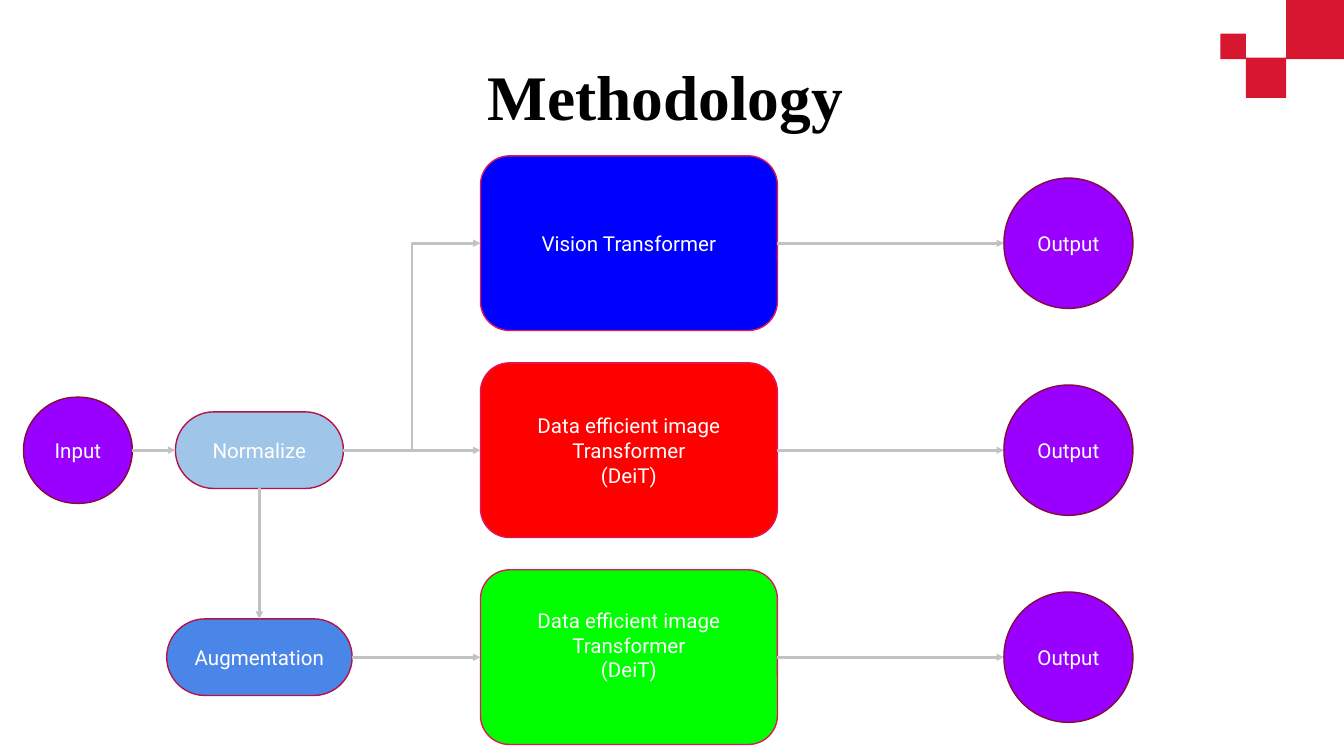
from dataclasses import dataclass

from lxml.etree import SubElement
from pptx import Presentation
from pptx.dml.color import RGBColor
from pptx.enum.shapes import MSO_CONNECTOR, MSO_SHAPE
from pptx.enum.text import MSO_ANCHOR, PP_ALIGN
from pptx.oxml.ns import qn
from pptx.shapes.autoshape import Shape
from pptx.slide import Slide
from pptx.text.text import TextFrame
from pptx.util import Inches, Pt


@dataclass(frozen=True)
class Theme:
    title_font: str = "Times New Roman"
    body_font: str = "Roboto"
    title_size: float = 34
    body_size: float = 11
    outline_width: float = 0.75
    arrow_width: float = 1.5
    title: str = "000000"
    label: str = "FFFFFF"
    accent: str = "D6172F"
    arrow: str = "C2C2C2"
    terminal: str = "9900FF"
    terminal_line: str = "840D35"
    normalize: str = "9FC5E8"
    augment: str = "4A86E8"
    step_line: str = "B6124A"
    vision: str = "0000FF"
    deit: str = "FF0000"
    deit_augmented: str = "00FF00"
    model_line: str = "E1165B"


THEME = Theme()


@dataclass(frozen=True)
class NodeStyle:
    width: float
    height: float
    corner: float
    line: str


@dataclass(frozen=True)
class Node:
    name: str
    lines: tuple[str, ...]
    center_x: float
    center_y: float
    style: NodeStyle
    fill: str
    bottom_inset: float = 0.1


@dataclass(frozen=True)
class Link:
    start: str
    end: str
    start_site: int
    end_site: int


@dataclass(frozen=True)
class Square:
    left: float
    top: float
    size: float


# Connection sites of a rounded rectangle
TOP, LEFT, BOTTOM, RIGHT = range(4)

# Three equally spaced rows and the flow columns
ROWS = [1.81 + 1.54 * row for row in range(3)]
INPUT_X, STEP_X, MODEL_X, OUTPUT_X = 0.58, 1.93, 4.68, 7.95

INPUT = NodeStyle(0.81, 0.79, 0.5, THEME.terminal_line)
OUTPUT = NodeStyle(0.96, 0.97, 0.5, THEME.terminal_line)
NORMALIZE = NodeStyle(1.25, 0.57, 0.5, THEME.step_line)
AUGMENT = NodeStyle(1.38, 0.57, 0.5, THEME.step_line)
MODEL = NodeStyle(2.21, 1.3, 1 / 6, THEME.model_line)
DEIT_LINES = ("Data efficient image Transformer", "(DeiT)")

NODES = [
    Node("input", ("Input",), INPUT_X, ROWS[1], INPUT, THEME.terminal),
    Node("normalize", ("Normalize",), STEP_X, ROWS[1], NORMALIZE, THEME.normalize),
    Node("augment", ("Augmentation",), STEP_X, ROWS[2], AUGMENT, THEME.augment),
    Node("model 0", ("Vision Transformer",), MODEL_X, ROWS[0], MODEL, THEME.vision),
    Node("model 1", DEIT_LINES, MODEL_X, ROWS[1], MODEL, THEME.deit),
    Node("model 2", DEIT_LINES, MODEL_X, ROWS[2], MODEL, THEME.deit_augmented, 0.28),
    *(Node(f"output {row}", ("Output",), OUTPUT_X, center_y, OUTPUT, THEME.terminal)
      for row, center_y in enumerate(ROWS)),
]

LINKS = [
    Link("input", "normalize", RIGHT, LEFT),
    Link("normalize", "augment", BOTTOM, TOP),
    Link("normalize", "model 0", RIGHT, LEFT),
    Link("normalize", "model 1", RIGHT, LEFT),
    Link("augment", "model 2", RIGHT, LEFT),
    *(Link(f"model {row}", f"output {row}", RIGHT, LEFT) for row in range(3)),
]

SQUARES = [Square(9.57, -0.01, 0.45), Square(9.27, 0.43, 0.3), Square(9.08, 0.25, 0.19)]


def color(value: str) -> RGBColor:
    return RGBColor.from_string(value)


def write_lines(frame: TextFrame, lines: tuple[str, ...], font: str, size: float,
                ink: str, bold: bool = False) -> None:
    frame.word_wrap = True
    frame.vertical_anchor = MSO_ANCHOR.MIDDLE
    for index, line in enumerate(lines):
        paragraph = frame.add_paragraph() if index else frame.paragraphs[0]
        paragraph.alignment = PP_ALIGN.CENTER
        run = paragraph.add_run()
        run.text = line
        run.font.name = font
        run.font.size = Pt(size)
        run.font.bold = bold
        run.font.color.rgb = color(ink)


def add_square(slide: Slide, square: Square) -> None:
    shape = slide.shapes.add_shape(
        MSO_SHAPE.RECTANGLE, Inches(square.left), Inches(square.top),
        Inches(square.size), Inches(square.size))
    shape.shadow.inherit = False
    shape.fill.solid()
    shape.fill.fore_color.rgb = color(THEME.accent)
    shape.line.fill.background()


def add_node(slide: Slide, node: Node) -> Shape:
    style = node.style
    shape = slide.shapes.add_shape(
        MSO_SHAPE.ROUNDED_RECTANGLE,
        Inches(node.center_x - style.width / 2), Inches(node.center_y - style.height / 2),
        Inches(style.width), Inches(style.height))
    shape.adjustments[0] = style.corner
    shape.shadow.inherit = False
    shape.fill.solid()
    shape.fill.fore_color.rgb = color(node.fill)
    shape.line.color.rgb = color(style.line)
    shape.line.width = Pt(THEME.outline_width)
    frame = shape.text_frame
    frame.margin_left = frame.margin_right = frame.margin_top = Inches(0.1)
    frame.margin_bottom = Inches(node.bottom_inset)
    write_lines(frame, node.lines, THEME.body_font, THEME.body_size, THEME.label)
    return shape


def add_link(slide: Slide, link: Link, shapes: dict[str, Shape]) -> None:
    connector = slide.shapes.add_connector(MSO_CONNECTOR.ELBOW, 0, 0, 0, 0)
    connector.begin_connect(shapes[link.start], link.start_site)
    connector.end_connect(shapes[link.end], link.end_site)
    connector.line.color.rgb = color(THEME.arrow)
    connector.line.width = Pt(THEME.arrow_width)
    properties = connector.element.spPr
    SubElement(properties.find(qn("a:ln")), qn("a:tailEnd"),
               type="triangle", w="sm", len="sm")
    SubElement(properties, qn("a:effectLst"))


def main() -> None:
    # Widescreen page, 16:9
    presentation = Presentation()
    presentation.slide_width = Inches(10)
    presentation.slide_height = Inches(10 * 9 / 16)
    slide = presentation.slides.add_slide(presentation.slide_layouts[6])

    # Corner decoration
    for square in SQUARES:
        add_square(slide, square)

    # Title
    title = slide.shapes.add_textbox(Inches(0.64), Inches(0.26), Inches(8.62), Inches(0.9))
    write_lines(title.text_frame, ("Methodology",), THEME.title_font,
                THEME.title_size, THEME.title, bold=True)

    # Flow chart
    shapes = {node.name: add_node(slide, node) for node in NODES}
    for link in LINKS:
        add_link(slide, link, shapes)

    presentation.save("out.pptx")


if __name__ == "__main__":
    main()
